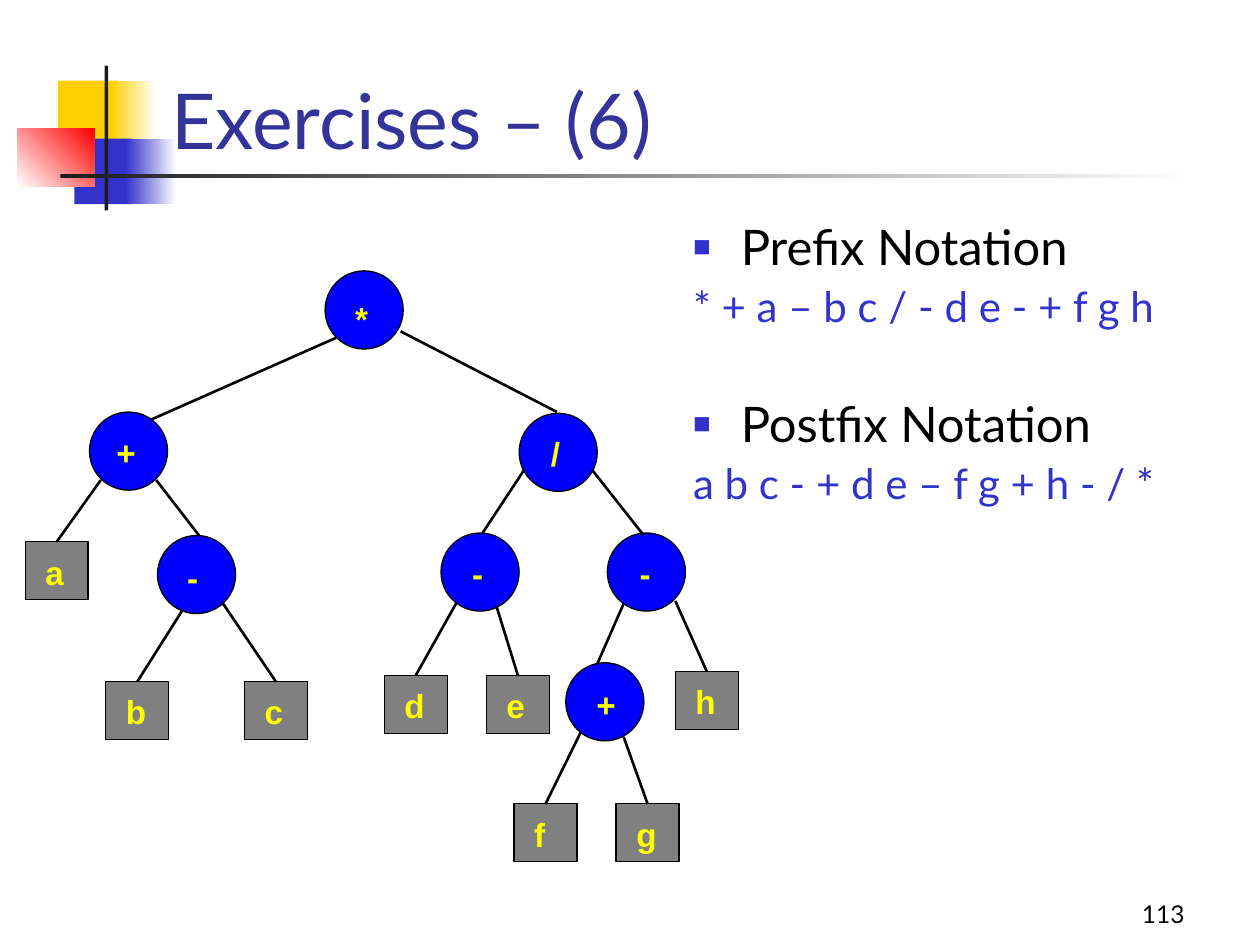
from dataclasses import dataclass

from lxml import etree
from pptx import Presentation
from pptx import util as u
from pptx.dml.color import RGBColor
from pptx.enum import shapes, text
from pptx.oxml import ns


@dataclass(frozen=True)
class Theme:
    """Colours, fonts and type sizes of the slide."""
    yellow: str = "FFCF01"
    blue: str = "3333CC"
    red: str = "FF0000"
    white: str = "FFFFFF"
    black: str = "000000"
    rule: str = "1C1C1C"
    title: str = "333399"
    operator: str = "0000FF"
    operand: str = "808080"
    symbol: str = "FFFF00"
    prose: str = "Lato"
    symbols: str = "Arial"
    title_size: int = 44
    heading_size: int = 28
    notation_size: int = 24
    symbol_size: int = 19
    number_size: int = 14


@dataclass(frozen=True)
class Box:
    """A region in inches."""
    left: float
    top: float
    width: float
    height: float

    def inner(self, left, top, width, height):
        """Return a box placed relative to this one."""
        return Box(self.left + left, self.top + top, width, height)

    def lengths(self):
        """Return the four measures as lengths."""
        return [u.Inches(v) for v in (self.left, self.top, self.width, self.height)]


THEME = Theme()
ORNAMENTS = [
    (0.32, 0.12, 0.48, 0.52, (THEME.yellow,), 0),
    (0.74, 0.12, 0.36, 0.52, (THEME.yellow, THEME.white), 0),
    (0.45, 0.58, 0.46, 0.52, (THEME.blue,), 0),
    (0.86, 0.58, 0.4, 0.52, (THEME.blue, THEME.white), 0),
    (0, 0.5, 0.61, 0.46, (THEME.white, THEME.red), 45),
    (0.69, 0, 0.03, 1.15, (THEME.rule,), 0),
    (0.34, 0.86, 9, 0.03, (THEME.rule, THEME.white), 0),
]
OPERATORS = [
    ("*", 2.38, 0, 0.04, 0.14),
    ("+", 0.51, 1.12, 0.04, 0.08),
    ("-", 1.05, 2.1, 0.03, 0.09),
    ("/", 3.92, 1.13, 0.04, 0.08),
    ("-", 3.3, 2.08, 0.04, 0.08),
    ("-", 4.62, 2.08, 0.05, 0.08),
    ("+", 4.29, 3.11, 0.07, 0.09),
]
OPERANDS = {
    "a": (0, 2.15), "b": (0.64, 3.26), "c": (1.74, 3.26), "d": (2.85, 3.21),
    "e": (3.66, 3.21), "f": (3.88, 4.23), "g": (4.69, 4.23), "h": (5.16, 3.18),
}
OPERATOR_BRANCHES = [
    (2.47, 0.53, 1, 1.18), (2.98, 0.48, 4.22, 1.12), (1.04, 1.66, 1.38, 2.1),
    (3.96, 1.58, 3.63, 2.08), (4.5, 1.58, 4.91, 2.1), (4.75, 2.64, 4.54, 3.12),
]
OPERAND_BRANCHES = {
    "a": (0.6, 1.66), "b": (1.25, 2.69), "c": (1.57, 2.64), "d": (3.42, 2.64),
    "e": (3.74, 2.66), "f": (4.41, 3.66), "g": (4.75, 3.7), "h": (5.16, 2.62),
}
NOTATIONS = [
    ("Prefix Notation", "* + a – b c / - d e - + f g h"),
    ("Postfix Notation", "a b c - + d e – f g + h - / *"),
]


def assign(target, values):
    """Set every attribute named in values."""
    for key, value in values.items():
        setattr(target, key, value)


def write(paragraph, words, size, color, font=THEME.prose, bold=False,
          align=text.PP_ALIGN.LEFT):
    """Add one formatted run to a paragraph."""
    paragraph.alignment = align
    run = paragraph.add_run()
    run.text = words
    assign(run.font, {"size": u.Pt(size), "name": font, "bold": bold})
    run.font.color.rgb = RGBColor.from_string(color)


def outline(line, width):
    """Give a line its black stroke."""
    line.color.rgb = RGBColor.from_string(THEME.black)
    line.width = u.Pt(width)


def place(holder, box):
    """Move a placeholder into a box."""
    assign(holder, dict(zip(("left", "top", "width", "height"), box.lengths())))


def add_ornament(slide, box):
    """Draw the coloured squares and the two rules."""
    for left, top, width, height, colors, angle in ORNAMENTS:
        part = slide.shapes.add_shape(shapes.MSO_SHAPE.RECTANGLE,
                                      *box.inner(left, top, width, height).lengths())
        part.shadow.inherit = False
        part.line.fill.background()
        if len(colors) == 1:
            part.fill.solid()
            part.fill.fore_color.rgb = RGBColor.from_string(colors[0])
        else:
            part.fill.gradient()
            part.fill.gradient_angle = angle
            for stop, color in zip(part.fill.gradient_stops, colors):
                stop.color.rgb = RGBColor.from_string(color)


def add_title(slide, box):
    """Fill the title and bring it in front of the ornament."""
    title = slide.shapes.title
    place(title, box)
    assign(title.text_frame, {"vertical_anchor": text.MSO_ANCHOR.BOTTOM,
                              "auto_size": text.MSO_AUTO_SIZE.NONE})
    write(title.text_frame.paragraphs[0], "Exercises – (6)", THEME.title_size, THEME.title)
    title._element.getparent().append(title._element)


def add_node(parts, kind, box, color):
    """Draw one outlined node of the tree."""
    node = parts.add_shape(kind, *box.lengths())
    node.shadow.inherit = False
    node.fill.solid()
    node.fill.fore_color.rgb = RGBColor.from_string(color)
    outline(node.line, 0.75)
    return node


def write_symbol(frame, symbol, align):
    """Write a node's symbol."""
    assign(frame, {"margin_left": u.Inches(0.16), "margin_right": u.Inches(0.16),
                   "margin_top": u.Inches(0.08), "margin_bottom": u.Inches(0.08),
                   "word_wrap": True, "vertical_anchor": text.MSO_ANCHOR.TOP})
    write(frame.paragraphs[0], symbol, THEME.symbol_size, THEME.symbol,
          THEME.symbols, True, align)


def add_branch(parts, box, start, end, operand=None):
    """Draw a branch, joined to an operand if one is given."""
    points = [u.Inches(v) for v in (box.left + start[0], box.top + start[1],
                                    box.left + end[0], box.top + end[1])]
    branch = parts.add_connector(shapes.MSO_CONNECTOR.STRAIGHT, *points)
    if operand is not None:
        branch.end_connect(operand, 0)
    outline(branch.line, 1.5)
    etree.SubElement(branch._element.spPr, ns.qn("a:effectLst"))


def add_tree(slide, box):
    """Draw the expression tree as one group."""
    parts = slide.shapes.add_group_shape().shapes
    for symbol, left, top, shift, drop in OPERATORS:
        circle = box.inner(left, top, 0.62, 0.62)
        add_node(parts, shapes.MSO_SHAPE.FLOWCHART_CONNECTOR, circle, THEME.operator)
        label = parts.add_textbox(*circle.inner(shift, drop, 0.5, 0.45).lengths())
        write_symbol(label.text_frame, symbol, text.PP_ALIGN.CENTER)
    for start_x, start_y, end_x, end_y in OPERATOR_BRANCHES:
        add_branch(parts, box, (start_x, start_y), (end_x, end_y))
    for symbol, corner in OPERANDS.items():
        operand = add_node(parts, shapes.MSO_SHAPE.RECTANGLE,
                           box.inner(*corner, 0.5, 0.46), THEME.operand)
        write_symbol(operand.text_frame, symbol, text.PP_ALIGN.LEFT)
        add_branch(parts, box, OPERAND_BRANCHES[symbol], corner, operand)


def set_bullet(paragraph, square):
    """Set the hanging indent, with a square bullet or none."""
    props = paragraph._p.get_or_add_pPr()
    props.set("marL", str(u.Inches(0.38)))
    props.set("indent", str(-u.Inches(0.38)))
    if not square:
        etree.SubElement(props, ns.qn("a:buNone"))
        return
    color = etree.SubElement(props, ns.qn("a:buClr"))
    etree.SubElement(color, ns.qn("a:srgbClr"), val=THEME.blue)
    etree.SubElement(props, ns.qn("a:buSzPct"), val="60000")
    etree.SubElement(props, ns.qn("a:buFont"), typeface=THEME.symbols)
    etree.SubElement(props, ns.qn("a:buChar"), char="■")


def add_notations(slide, box):
    """List the two notations in the body placeholder."""
    body = slide.placeholders[1]
    place(body, box)
    frame = body.text_frame
    frame.auto_size = text.MSO_AUTO_SIZE.NONE
    for index, (name, expression) in enumerate(NOTATIONS):
        heading = frame.add_paragraph() if index else frame.paragraphs[0]
        notation = frame.add_paragraph()
        for paragraph, gap in ((heading, 39 if index else 0), (notation, 6)):
            set_bullet(paragraph, paragraph is heading)
            assign(paragraph, {"line_spacing": 0.9, "space_before": u.Pt(gap)})
        write(heading, name, THEME.heading_size, THEME.black)
        write(notation, expression, THEME.notation_size, THEME.blue)


def add_page_number(slide, box):
    """Write the page number."""
    frame = slide.shapes.add_textbox(*box.lengths()).text_frame
    assign(frame, {"word_wrap": True, "vertical_anchor": text.MSO_ANCHOR.BOTTOM})
    write(frame.paragraphs[0], "113", THEME.number_size, THEME.black,
          align=text.PP_ALIGN.RIGHT)


def main():
    """Build and save the slide."""
    deck = Presentation()
    assign(deck, {"slide_width": u.Inches(10), "slide_height": u.Inches(7.5)})
    slide = deck.slides.add_slide(deck.slide_layouts[1])
    add_ornament(slide, Box(0.14, 0.52, 9.34, 1.15))
    add_title(slide, Box(1.26, 0.11, 8.52, 1.25))
    add_tree(slide, Box(0.2, 2.15, 5.66, 4.69))
    add_notations(slide, Box(5.4, 1.72, 4.6, 4.45))
    add_page_number(slide, Box(7.42, 6.92, 2.08, 0.5))
    deck.save("out.pptx")


if __name__ == "__main__":
    main()
